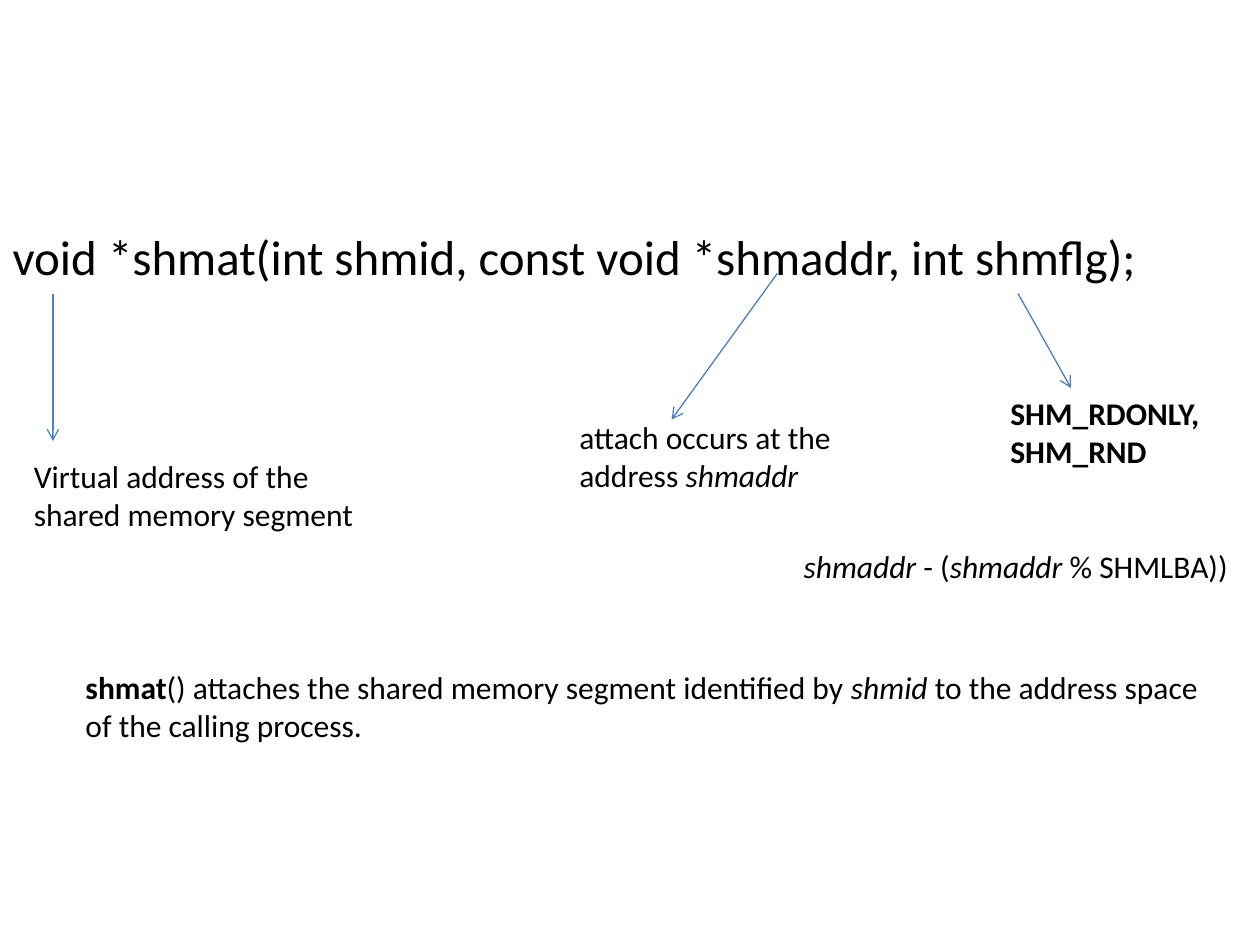
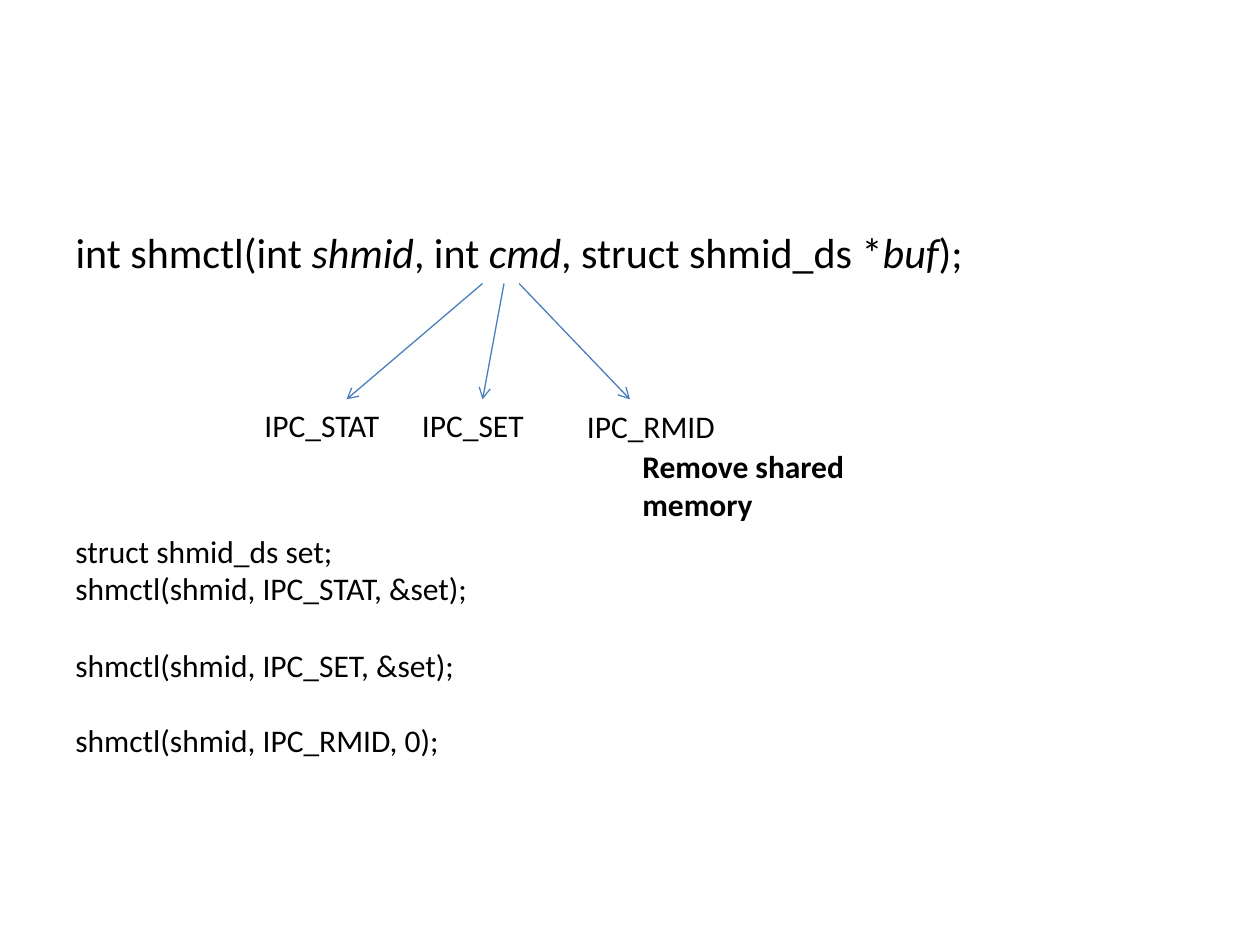
from pptx import Presentation
from pptx.dml.color import RGBColor
from pptx.enum import shapes, text
from pptx.oxml import parse_xml
from pptx.oxml.ns import nsdecls, qn
from pptx.util import Inches, Pt

# Shared look
FONT, INK, ARROW = "Calibri", "000000", "4B7EBC"
NOTE_SIZE = 18
BODY_TOP, BODY_HEIGHT = 1.75, 4.95
ONE_LINE, TWO_LINES, FOUR_LINES = 0.4, 0.71, 1.62
BLANK_LINE = 22  # points of space that stand for an empty line

# Content: a paragraph is a list of (text, style) runs; style is "", "b" or "i"
# Notes are (left, top, width, height, wrap, paragraphs)
SHMAT = {
    "body": (0, 10.25, 28,
             [("void *shmat(int shmid, const void *shmaddr, int shmflg);", "")]),
    "arrows": [((6.17, 2.17), (5.33, 3.33)),
               ((0.42, 2.33), (0.42, 3.5)),
               ((8.08, 2.33), (8.5, 3.08))],
    "notes": [
        (0.17, 3.58, 2.75, TWO_LINES, True,
         [[("Virtual address of the shared memory segment", "")]]),
        (0.58, 5.25, 9.25, TWO_LINES, True,
         [[("shmat", "b"),
           ("() attaches the shared memory segment identified by ", ""),
           ("shmid", "i"),
           (" to the address space of the calling process.", "")]]),
        (7.92, 3.08, 1.92, TWO_LINES, True,
         [[("SHM_RDONLY,", "b")], [("SHM_RND", "b")]]),
        (4.5, 3.27, 2.25, TWO_LINES, True,
         [[("attach occurs at the address ", ""), ("shmaddr", "i")]]),
        (6.28, 4.29, 3.6, ONE_LINE, False,
         [[("shmaddr", "i"), (" - (", ""), ("shmaddr", "i"),
           (" % SHMLBA))", "")]]),
    ],
}
SHMCTL = {
    "body": (0.5, 9, 24,
             [("int shmctl(int ", ""), ("shmid", "i"), (", int ", ""),
              ("cmd", "i"), (", struct shmid_ds *", ""), ("buf", "i"),
              (");", "")]),
    "arrows": [((3.83, 2.25), (2.75, 3.17)),
               ((4, 2.25), (3.83, 3.17)),
               ((4.12, 2.25), (5, 3.17))],
    "notes": [
        (2, 3.17, 1.75, ONE_LINE, True, [[("IPC_STAT", "")]]),
        (3.25, 3.17, 1.75, ONE_LINE, True, [[("IPC_SET", "")]]),
        (4.56, 3.18, 1.27, ONE_LINE, True, [[("IPC_RMID", "")]]),
        (0.5, 4.17, 9.33, FOUR_LINES, True,
         [[("struct shmid_ds set;", "")],
          [("shmctl(shmid, IPC_STAT, &set);", "")],
          "gap",
          [("shmctl(shmid, IPC_SET, &set);", "")]]),
        (0.5, 5.67, 3.12, ONE_LINE, False,
         [[("shmctl(shmid, IPC_RMID, 0);", "")]]),
        (5, 3.5, 2.17, TWO_LINES, True, [[("Remove shared memory", "b")]]),
    ],
}


def color(hex_string):
    return RGBColor.from_string(hex_string)


def add_runs(p, runs, size):
    for words, style in runs:
        r = p.add_run()
        r.text = words
        r.font.name, r.font.size = FONT, Pt(size)
        r.font.bold, r.font.italic = style == "b", style == "i"
        r.font.color.rgb = color(INK)


def fill_body(s, left, width, size, runs):
    title, body = s.shapes.title, s.placeholders[1]
    title._element.getparent().remove(title._element)
    body.left, body.top = Inches(left), Inches(BODY_TOP)
    body.width, body.height = Inches(width), Inches(BODY_HEIGHT)
    p = body.text_frame.paragraphs[0]
    add_runs(p, runs, size)
    # No bullet and no hanging indent
    pPr = p._p.get_or_add_pPr()
    pPr.set("marL", "0")
    pPr.set("indent", "0")
    pPr.append(parse_xml(f"<a:buNone {nsdecls('a')}/>"))


def add_arrow(s, start, end):
    points = [Inches(v) for v in start + end]
    line = s.shapes.add_connector(shapes.MSO_CONNECTOR.STRAIGHT, *points)
    line.line.color.rgb = color(ARROW)
    line.line.width = Pt(0.75)
    spPr = line._element.spPr
    spPr.find(qn("a:ln")).append(
        parse_xml(f"<a:tailEnd {nsdecls('a')} type='arrow'/>"))
    spPr.append(parse_xml(f"<a:effectLst {nsdecls('a')}/>"))


def add_note(s, left, top, width, height, wrap, paragraphs):
    sp = s.shapes.add_textbox(*map(Inches, (left, top, width, height)))
    tf = sp.text_frame
    tf.word_wrap = wrap
    tf.auto_size = text.MSO_AUTO_SIZE.SHAPE_TO_FIT_TEXT
    space, p = 0, None
    for runs in paragraphs:
        if runs == "gap":
            space = BLANK_LINE
            continue
        p = tf.add_paragraph() if p else tf.paragraphs[0]
        p.space_before = Pt(space)
        add_runs(p, runs, NOTE_SIZE)
        space = 0


# Build the slides
prs = Presentation()
prs.slide_width, prs.slide_height = Inches(10), Inches(7.5)
for content in (SHMAT, SHMCTL):
    s = prs.slides.add_slide(prs.slide_layouts[1])
    fill_body(s, *content["body"])
    for start, end in content["arrows"]:
        add_arrow(s, start, end)
    for note in content["notes"]:
        add_note(s, *note)
prs.save("out.pptx")
